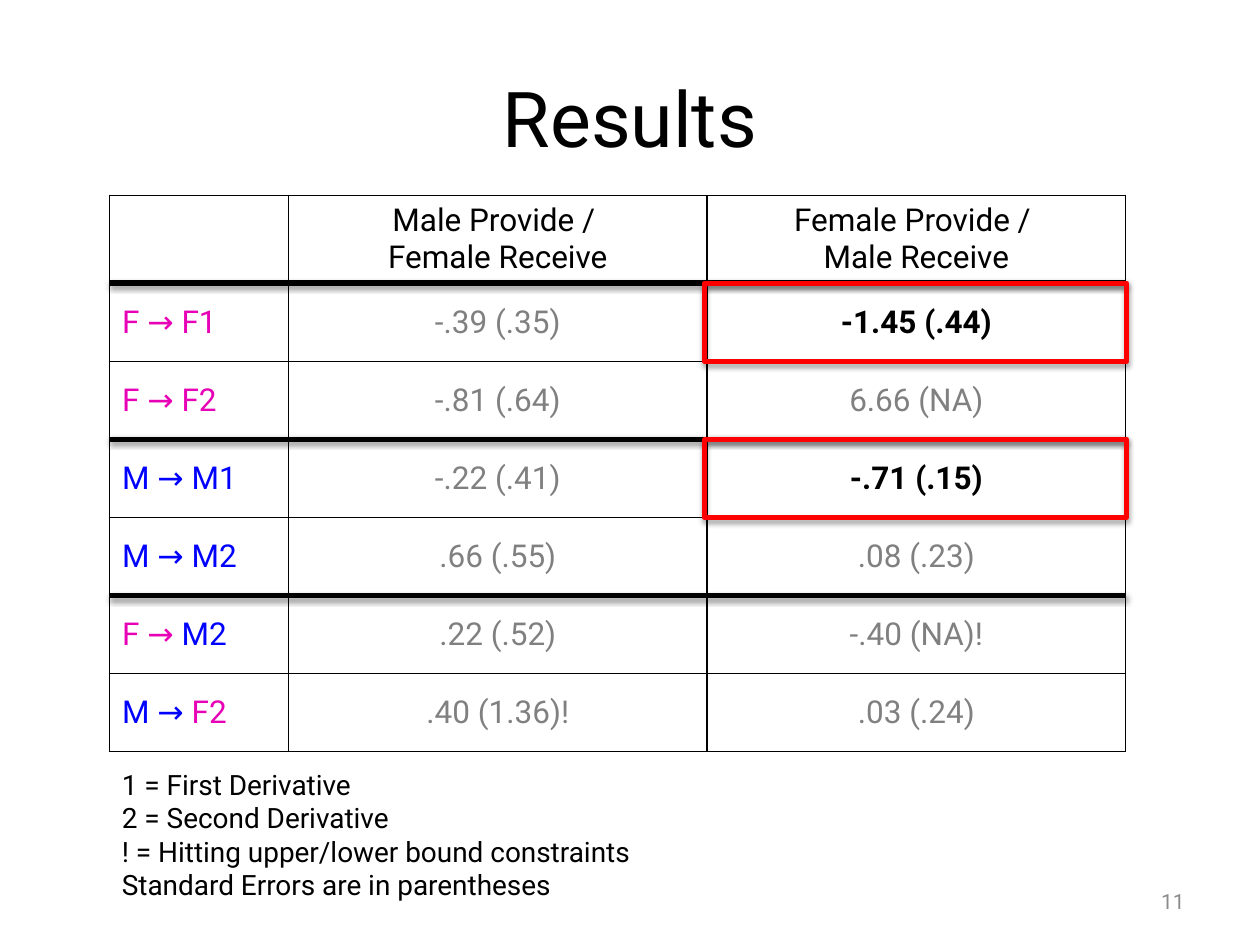
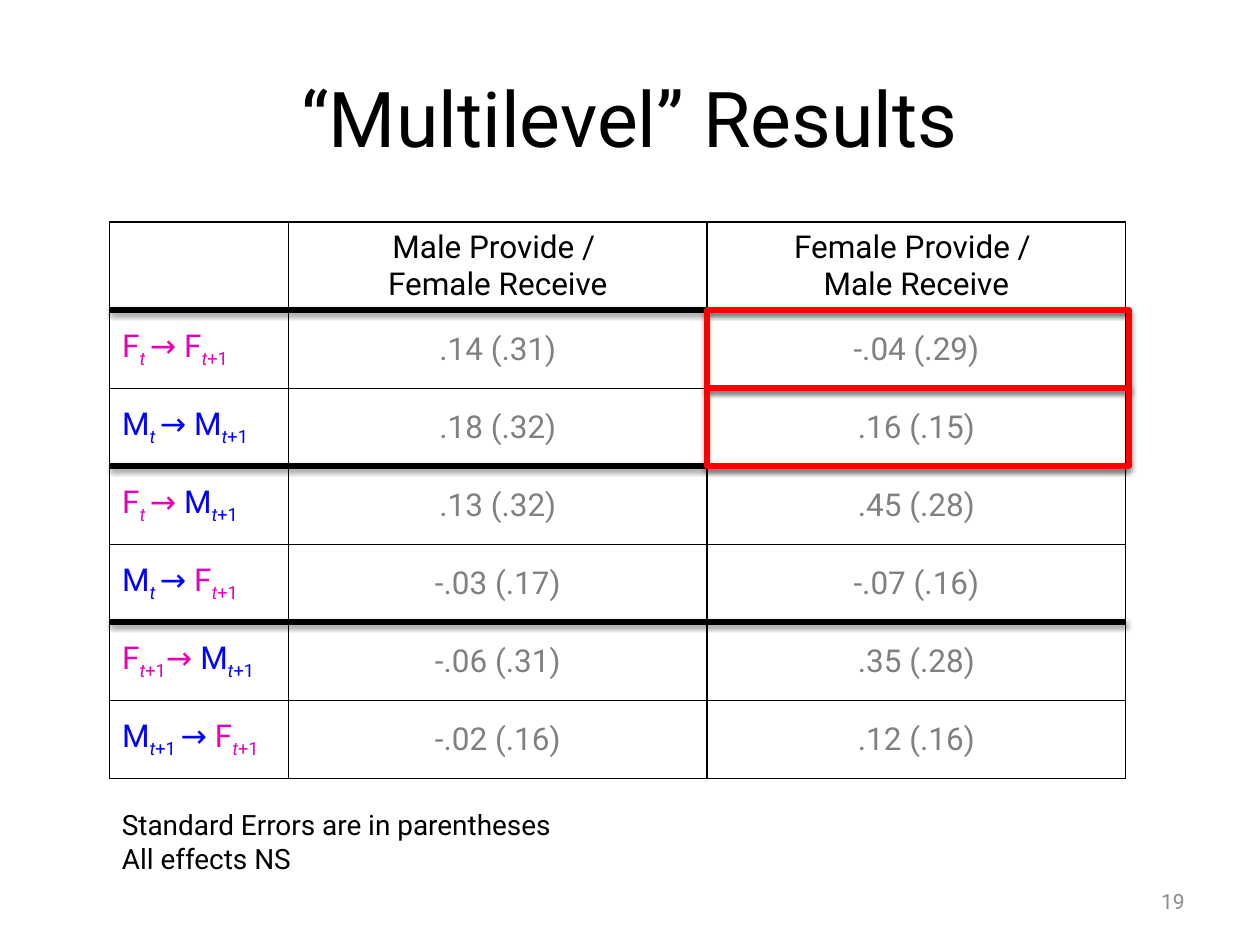
from pptx import Presentation
from pptx.dml.color import RGBColor
from pptx.enum.shapes import MSO_CONNECTOR, MSO_SHAPE
from pptx.enum.text import MSO_ANCHOR, PP_ALIGN
from pptx.oxml import parse_xml
from pptx.oxml.ns import nsdecls
from pptx.util import Pt

LEFT, MID, RIGHT = PP_ALIGN.LEFT, PP_ALIGN.CENTER, PP_ALIGN.RIGHT
TOP, CENTRE = MSO_ANCHOR.TOP, MSO_ANCHOR.MIDDLE
LINE, RECT = MSO_CONNECTOR.STRAIGHT, MSO_SHAPE.RECTANGLE

FONT = "Roboto"
BLACK, WHITE, RED, GREY, PALE = "000000", "FFFFFF", "FF0000", "808080", "8C8C8C"
HUE = {"F": "E700B5", "M": "0000FF"}


# Row labels: lists of runs, each (text, colour, style)
def term(who, *lag):
    """A letter with its lag: italic t, then an optional plain part."""
    hue = HUE[who]
    subs = [(s, hue, style) for s, style in zip(lag, ("sub italic", "sub"))]
    return [(who, hue, "")] + subs


def arrow(who):
    return [("→ ", HUE[who], "")]


def plain(a, b):
    """A label without lags, such as F → M2."""
    return [(f"{a} → ", HUE[a], ""), (b, HUE[b[0]], "")]


def lagged(a, b, *lag):
    return term(a, *lag) + arrow(a) + term(b, "t", "+1")


# Content
HEAD = [[], ["Male Provide / ", "Female Receive"],
        ["Female Provide / ", "Male Receive"]]
SLIDES = [
    dict(title="Results", page="11", top=111.6, box_x=402.5, boxes=[0, 2],
         bold=["-1.45 (.44)", "-.71 (.15)"], note_y=434.9,
         rows=[(plain("F", "F1"), "-.39 (.35)", "-1.45 (.44)"),
               (plain("F", "F2"), "-.81 (.64)", "6.66 (NA)"),
               (plain("M", "M1"), "-.22 (.41)", "-.71 (.15)"),
               (plain("M", "M2"), ".66 (.55)", ".08 (.23)"),
               (plain("F", "M2"), ".22 (.52)", "-.40 (NA)!"),
               (plain("M", "F2"), ".40 (1.36)!", ".03 (.24)")],
         notes=["1 = First Derivative", "2 = Second Derivative",
                "! = Hitting upper/lower bound constraints",
                "Standard Errors are in parentheses"]),
    dict(title="“Multilevel” Results", page="19", top=126.9, box_x=404,
         boxes=[0, 1], bold=[], note_y=457.9,
         rows=[(lagged("F", "F", "t "), ".14 (.31)", "-.04 (.29)"),
               (lagged("M", "M", "t "), ".18 (.32)", ".16 (.15)"),
               (lagged("F", "M", "t "), ".13 (.32)", ".45 (.28)"),
               (lagged("M", "F", "t "), "-.03 (.17)", "-.07 (.16)"),
               (lagged("F", "M", "t", "+1"), "-.06 (.31)", ".35 (.28)"),
               (lagged("M", "F", "t", "+1 "), "-.02 (.16)", ".12 (.16)")],
         notes=["Standard Errors are in parentheses", "All effects NS"]),
]

# Grid
X, COLS = 62.6, [102.3, 239.2, 239.2]
HEAD_H, ROW_H = 48.5, 44.6
RULE_Y = 50.2  # first heavy rule, below the table top
BOX_W = 241.2


def rgb(code):
    return RGBColor.from_string(code)


def fill_text(frame, paras, size, align):
    """Each paragraph is a list of (text, colour, style) runs."""
    for i, runs in enumerate(paras):
        para = frame.add_paragraph() if i else frame.paragraphs[0]
        para.alignment = align
        for text, hue, style in runs:
            run = para.add_run()
            run.text = text
            font = run.font
            font.name, font.size = FONT, Pt(size)
            font.color.rgb = rgb(hue)
            font.bold = "bold" in style
            font.italic = "italic" in style
            if "sub" in style:
                font._element.set("baseline", "-25000")


def add_text(slide, area, lines, size, hue, align, anchor):
    frame = slide.shapes.add_textbox(*map(Pt, area)).text_frame
    frame.word_wrap = True
    frame.vertical_anchor = anchor
    fill_text(frame, [[(t, hue, "")] for t in lines], size, align)


def stroke(shape, hue, alpha, dist):
    """Heavy line with a soft shadow straight below."""
    shape.line.color.rgb = rgb(hue)
    shape.line.width = Pt(3)
    shape._element.spPr.append(parse_xml(
        f'<a:effectLst {nsdecls("a")}><a:outerShdw blurRad="{Pt(3.1)}" '
        f'dist="{Pt(dist)}" dir="5400000" rotWithShape="0">'
        f'<a:srgbClr val="{BLACK}"><a:alpha val="{alpha * 1000}"/></a:srgbClr>'
        '</a:outerShdw></a:effectLst>'))


def set_cell(cell, paras, align):
    cell.vertical_anchor = CENTRE
    props = cell._tc.get_or_add_tcPr()
    for side in "LRTB":
        props.append(parse_xml(
            f'<a:ln{side} {nsdecls("a")} w="{Pt(1)}"><a:solidFill>'
            f'<a:srgbClr val="{BLACK}"/></a:solidFill></a:ln{side}>'))
    cell.fill.background()
    fill_text(cell.text_frame, paras, 18, align)


def add_grid(slide, data):
    rows = data["rows"]
    table = slide.shapes.add_table(
        len(rows) + 1, len(COLS), Pt(X), Pt(data["top"]), Pt(sum(COLS)),
        Pt(HEAD_H + ROW_H * len(rows))).table
    table.first_row = table.horz_banding = False
    for col, width in zip(table.columns, COLS):
        col.width = Pt(width)
    for i, row in enumerate(table.rows):
        row.height = Pt(ROW_H if i else HEAD_H)
    for c, lines in enumerate(HEAD):
        set_cell(table.cell(0, c), [[(t, BLACK, "")] for t in lines], MID)
    for r, (label, *values) in enumerate(rows, 1):
        set_cell(table.cell(r, 0), [label], LEFT)
        for c, text in enumerate(values, 1):
            look = (BLACK, "bold") if text in data["bold"] else (GREY, "")
            set_cell(table.cell(r, c), [[(text, *look)]], MID)


deck = Presentation()
deck.slide_width, deck.slide_height = Pt(720), Pt(540)

for data in SLIDES:
    slide = deck.slides.add_slide(deck.slide_layouts[6])
    slide.background.fill.solid()
    slide.background.fill.fore_color.rgb = rgb(WHITE)

    # Title, page number, table, notes
    add_text(slide, (36, 21.6, 648, 90), [data["title"]], 44, BLACK, MID, CENTRE)
    add_text(slide, (516, 500.5, 168, 28.75), [data["page"]], 12, PALE, RIGHT, CENTRE)
    add_grid(slide, data)
    notes = data["notes"]
    add_text(slide, (X, data["note_y"], 482.4, 7.2 + 19.4 * len(notes)),
             notes, 16, BLACK, LEFT, TOP)

    # Heavy rules above every second row
    first = data["top"] + RULE_Y
    for r in range(0, len(data["rows"]), 2):
        y = Pt(first + r * ROW_H)
        rule = slide.shapes.add_connector(LINE, Pt(X), y, Pt(X + sum(COLS)), y)
        stroke(rule, BLACK, 38, 1.6)

    # Red frames round the key results
    for r in data["boxes"]:
        box = slide.shapes.add_shape(RECT, Pt(data["box_x"]), Pt(first + r * ROW_H),
                                     Pt(BOX_W), Pt(ROW_H))
        box.fill.background()
        stroke(box, RED, 35, 1.8)

deck.save("out.pptx")
